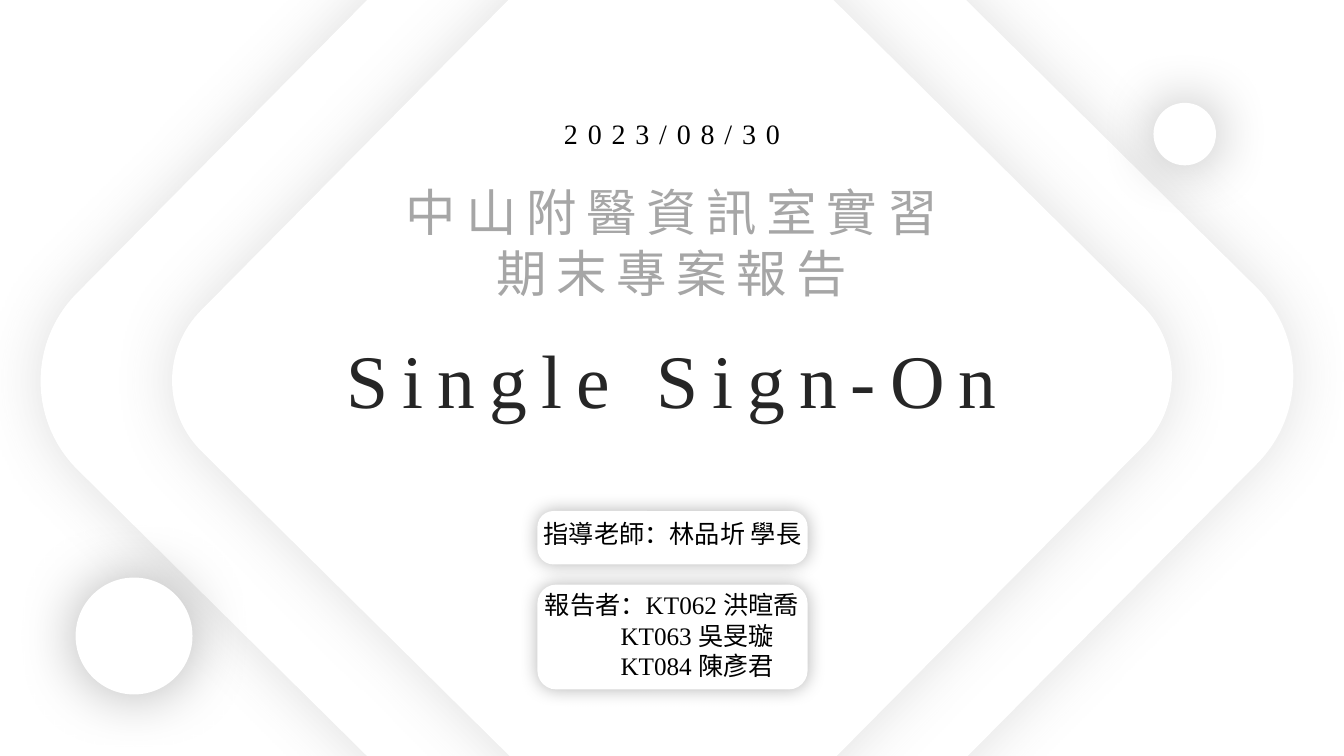
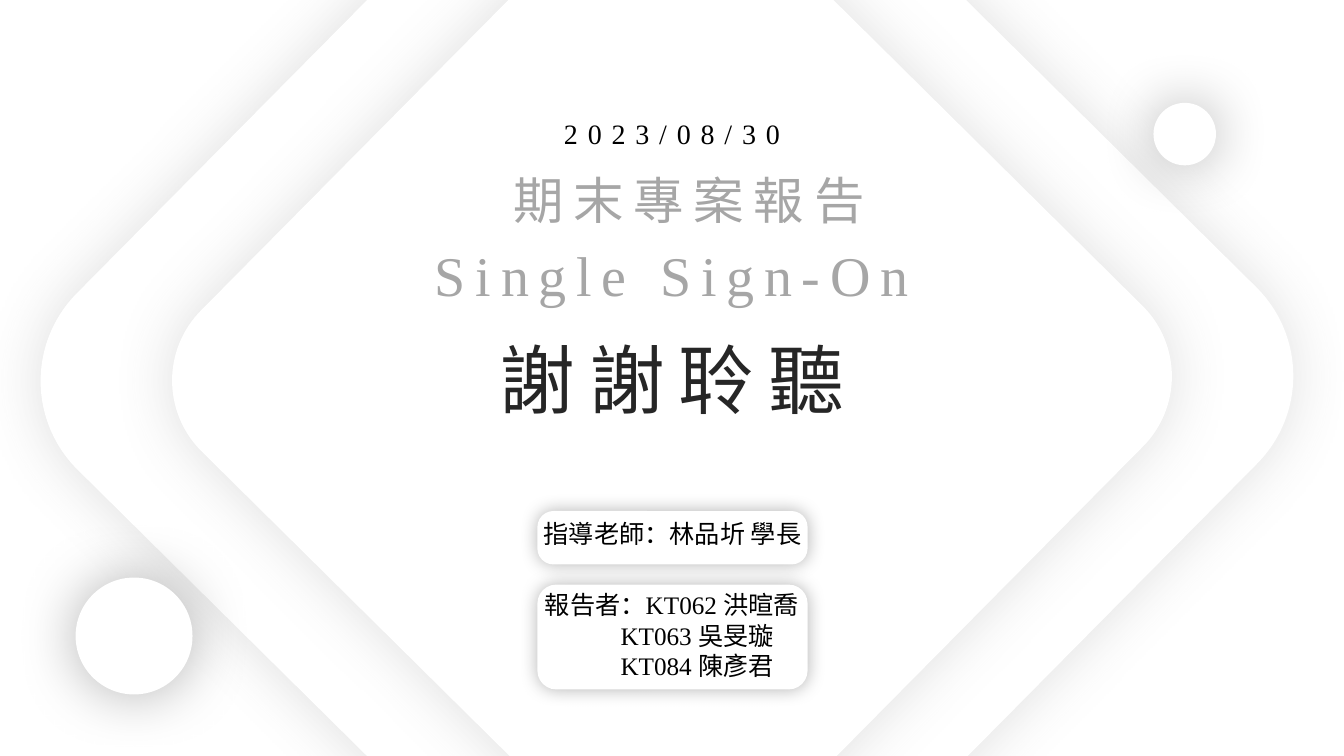
from lxml import etree
from pptx import Presentation
from pptx.dml.color import RGBColor
from pptx.enum.shapes import MSO_SHAPE
from pptx.enum.text import MSO_ANCHOR, MSO_AUTO_SIZE, PP_ALIGN
from pptx.oxml.ns import qn
from pptx.util import Inches, Pt

ROUNDED = MSO_SHAPE.ROUNDED_RECTANGLE
OVAL = MSO_SHAPE.OVAL
TOP = MSO_ANCHOR.TOP
FIXED_SIZE = MSO_AUTO_SIZE.NONE
CENTER = PP_ALIGN.CENTER

LATIN_FONT = "Times New Roman"
CHINESE_FONT = "Noto Sans CJK SC"
COLORS = {
    "white": "FFFFFF",
    "black": "000000",
    "title": "262626",
    "subtitle": "A6A6A6",
    "soft_shadow": "595959",
}
TITLE_LAYOUT = 5

DIAMOND_TILT = 44.7
DIAMONDS = [(1.86, -1, 9.51, 9.51), (2.87, -0.04, 7.59, 7.59)]
CIRCLES = [(0.75, 5.73, 1.16, 1.16), (11.44, 1.02, 0.62, 0.62)]
CARDS = [
    ((5.33, 5.07, 2.68, 0.53), 0.3, (5.26, 5.09, 2.82, 0.71),
     ["指導老師：林品圻 學長"]),
    ((5.33, 5.8, 2.68, 1.04), 0.18, (5.08, 5.8, 3.17, 1.01),
     ["報告者：KT062 洪暄喬", "\tKT063 吳旻璇", "\tKT084 陳彥君"]),
]
SLIDES = [
    {
        "title": "Single Sign-On",
        "title_font": LATIN_FONT,
        "subtitles": [
            ((3.61, 1.75, 6.11, 1.31), ["中山附醫資訊室實習", "期末專案報告"], 36),
        ],
    },
    {
        "title": "謝謝聆聽",
        "title_font": CHINESE_FONT,
        "subtitles": [
            ((4.46, 1.63, 4.75, 0.71), ["期末專案報告"], 36),
            ((0, 2.34, 13.33, 0.77), ["Single Sign-On"], 40),
        ],
    },
]


def add_soft_shape(slide, kind, box, shadow_color, opacity, blur):
    shape = slide.shapes.add_shape(kind, *map(Inches, box))
    shape.fill.solid()
    shape.fill.fore_color.rgb = RGBColor.from_string(COLORS["white"])
    shape.line.fill.background()
    shape.shadow.inherit = False
    effects = shape._element.spPr.find(qn("a:effectLst"))
    shadow = etree.SubElement(
        effects, qn("a:outerShdw"), blurRad=str(Pt(blur)), dist="0", dir="0",
        algn="ctr", rotWithShape="0")
    color = etree.SubElement(shadow, qn("a:srgbClr"), val=COLORS[shadow_color])
    etree.SubElement(color, qn("a:alpha"), val=str(opacity * 1000))
    return shape


def write_text(shape, lines, size, color, spacing=0, font_name=LATIN_FONT):
    frame = shape.text_frame
    frame.word_wrap = True
    frame.auto_size = FIXED_SIZE
    frame.vertical_anchor = TOP
    frame.text = "\n".join(lines)
    for paragraph in frame.paragraphs:
        paragraph.alignment = CENTER
        font = paragraph.font
        font.name = font_name
        font.size = Pt(size)
        font.color.rgb = RGBColor.from_string(COLORS[color])
        properties = font._element
        properties.set("spc", str(spacing * 100))
        latin = properties.find(qn("a:latin"))
        east_asian = etree.Element(qn("a:ea"), typeface=CHINESE_FONT)
        latin.addnext(east_asian)


presentation = Presentation()
presentation.slide_width = Inches(13.33)
presentation.slide_height = Inches(7.5)

for content in SLIDES:
    slide = presentation.slides.add_slide(presentation.slide_layouts[TITLE_LAYOUT])

    for box in DIAMONDS:
        diamond = add_soft_shape(slide, ROUNDED, box, "soft_shadow", 19, 43)
        diamond.adjustments[0] = 0.13
        diamond.rotation = DIAMOND_TILT

    date = slide.shapes.add_textbox(*map(Inches, (5.17, 1.11, 2.99, 0.44)))
    write_text(date, ["2023/08/30"], 20, "black", 7)

    for box, lines, size in content["subtitles"]:
        subtitle = slide.shapes.add_textbox(*map(Inches, box))
        write_text(subtitle, lines, size, "subtitle", 7)

    title = slide.shapes.title
    title.left, title.top = Inches(0), Inches(3.25)
    title.width, title.height = presentation.slide_width, Inches(1.01)
    write_text(title, [content["title"]], 54, "title", 10, content["title_font"])
    slide.shapes._spTree.append(title._element)

    for box in CIRCLES:
        add_soft_shape(slide, OVAL, box, "black", 30, 43)

    for card_box, corner, text_box, lines in CARDS:
        card = add_soft_shape(slide, ROUNDED, card_box, "black", 30, 13)
        card.adjustments[0] = corner
        label = slide.shapes.add_textbox(*map(Inches, text_box))
        write_text(label, lines, 18, "black")

presentation.save("out.pptx")
